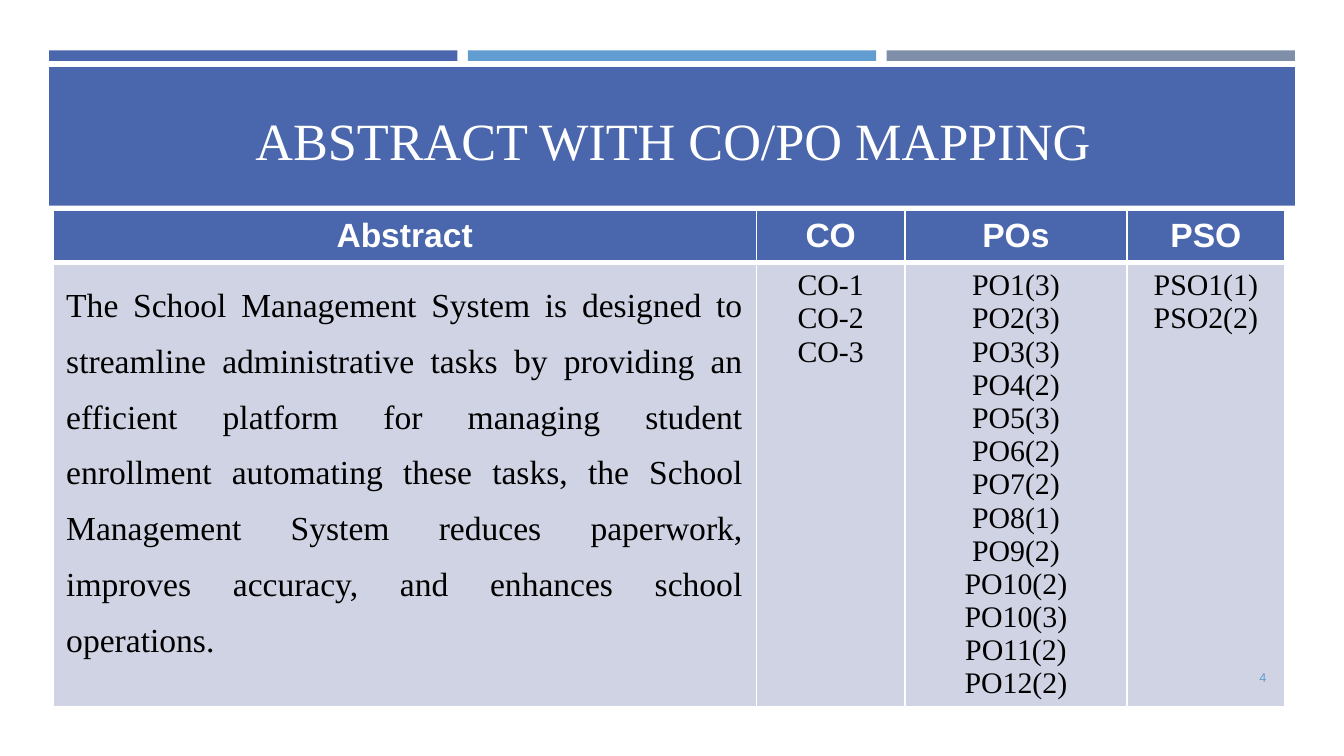
import dataclasses

import lxml.etree
import pptx
import pptx.dml.color
import pptx.enum.shapes
import pptx.enum.text
import pptx.oxml.ns
import pptx.util

Pt = pptx.util.Pt
Align = pptx.enum.text.PP_ALIGN
Anchor = pptx.enum.text.MSO_ANCHOR


@dataclasses.dataclass(frozen=True)
class Theme:
    """Colours, fonts and type sizes of the deck."""

    navy: str = "4A66AC"
    sky: str = "629DD1"
    slate: str = "7F8FA9"
    pale: str = "D0D3E3"
    white: str = "FFFFFF"
    black: str = "000000"
    serif: str = "Times New Roman"
    sans: str = "Arial"
    title_size: float = 28
    body_size: float = 18
    code_size: float = 16
    number_size: float = 6.8


class SlideBuilder:
    """Draws styled elements on the current slide."""

    def __init__(self, theme, slide):
        self.theme = theme
        self.slide = slide

    def fill_text(self, frame, lines, size, font, color, align, bold=False, spacing=None):
        """Fill a text frame with equally styled paragraphs."""
        frame.text = "\n".join(lines)
        for para in frame.paragraphs:
            para.alignment = align
            if spacing:
                para.line_spacing = spacing
            for span in para.runs:
                span.font.size = Pt(size)
                span.font.name = font
                span.font.bold = bold
                span.font.color.rgb = pptx.dml.color.RGBColor.from_string(color)

    def bar(self, left, top, width, height, color):
        """Draw a plain filled rectangle."""
        kind = pptx.enum.shapes.MSO_SHAPE.RECTANGLE
        shape = self.slide.shapes.add_shape(kind, Pt(left), Pt(top), Pt(width), Pt(height))
        shape.shadow.inherit = False
        shape.fill.solid()
        shape.fill.fore_color.rgb = pptx.dml.color.RGBColor.from_string(color)
        shape.line.fill.background()

    def text(self, left, top, width, height, line, anchor, **style):
        """Draw a text box with one line."""
        box = self.slide.shapes.add_textbox(Pt(left), Pt(top), Pt(width), Pt(height))
        box.text_frame.word_wrap = True
        box.text_frame.vertical_anchor = anchor
        self.fill_text(box.text_frame, [line], **style)

    def cell(self, cell, lines, fill, borders, **style):
        """Set the text, borders and fill of one table cell."""
        properties = cell._tc.get_or_add_tcPr()
        for side, width in borders.items():
            line = lxml.etree.SubElement(
                properties, pptx.oxml.ns.qn(f"a:ln{side}"), w=str(int(Pt(width)))
            )
            solid = lxml.etree.SubElement(line, pptx.oxml.ns.qn("a:solidFill"))
            lxml.etree.SubElement(solid, pptx.oxml.ns.qn("a:srgbClr"), val=self.theme.white)
        cell.fill.solid()
        cell.fill.fore_color.rgb = pptx.dml.color.RGBColor.from_string(fill)
        self.fill_text(cell.text_frame, lines, **style)

    def table(self, left, top, widths, heights, headings, abstract, codes):
        """Draw the mapping table with a heading row and a body row."""
        theme = self.theme
        table = self.slide.shapes.add_table(
            2, len(widths), Pt(left), Pt(top), Pt(sum(widths)), Pt(sum(heights))
        ).table
        for row, height in zip(table.rows, heights):
            row.height = Pt(height)
        for column, width in zip(table.columns, widths):
            column.width = Pt(width)
        head_borders = {"L": 1, "R": 1, "T": 1, "B": 3}
        body_borders = {"L": 1, "R": 1, "T": 3, "B": 1}
        for index, heading in enumerate(headings):
            self.cell(table.cell(0, index), [heading], theme.navy, head_borders,
                      size=theme.body_size, font=theme.sans, color=theme.white,
                      align=Align.CENTER, bold=True)
        self.cell(table.cell(1, 0), [abstract], theme.pale, body_borders,
                  size=theme.body_size, font=theme.serif, color=theme.black,
                  align=Align.JUSTIFY, spacing=1.5)
        for index, lines in enumerate(codes, start=1):
            self.cell(table.cell(1, index), lines, theme.pale, body_borders,
                      size=theme.code_size, font=theme.serif, color=theme.black,
                      align=Align.CENTER)


def main():
    """Build and save the abstract mapping slide."""
    theme = Theme()
    deck = pptx.Presentation()
    deck.slide_width, deck.slide_height = Pt(720), Pt(405)
    page = SlideBuilder(theme, deck.slides.add_slide(deck.slide_layouts[6]))

    left, width, gap = 26.4, 667.4, 5.6
    bar_width = (width - 2 * gap) / 3
    for index, color in enumerate((theme.navy, theme.sky, theme.slate)):
        page.bar(left + index * (bar_width + gap), 27, bar_width, 5.6, color)
    page.bar(left, 36, width, 74.2, theme.navy)

    abstract = (
        "The School Management System is designed to streamline administrative tasks "
        "by providing an efficient platform for managing student enrollment automating "
        "these tasks, the School Management System reduces paperwork, improves accuracy, "
        "and enhances school operations."
    )
    outcomes = [f"CO-{number}" for number in range(1, 4)]
    program_levels = [
        (1, 3), (2, 3), (3, 3), (4, 2), (5, 3), (6, 2), (7, 2),
        (8, 1), (9, 2), (10, 2), (10, 3), (11, 2), (12, 2),
    ]
    programs = [f"PO{number}({level})" for number, level in program_levels]
    page.table(
        28.3, 112.6, [377, 79.5, 119, 84.5], [28, 237.4],
        ["Abstract", "CO", "POs", "PSO"], abstract,
        [outcomes, programs, ["PSO1(1)", "PSO2(2)"]],
    )

    page.text(34.6, 36.7, 651.6, 58.3, "ABSTRACT WITH CO/PO MAPPING", Anchor.BOTTOM,
              size=theme.title_size, font=theme.serif, color=theme.white, align=Align.CENTER)
    page.text(623.5, 352, 62, 21.6, "4", Anchor.MIDDLE,
              size=theme.number_size, font=theme.sans, color=theme.sky, align=Align.RIGHT)
    deck.save("out.pptx")


if __name__ == "__main__":
    main()
